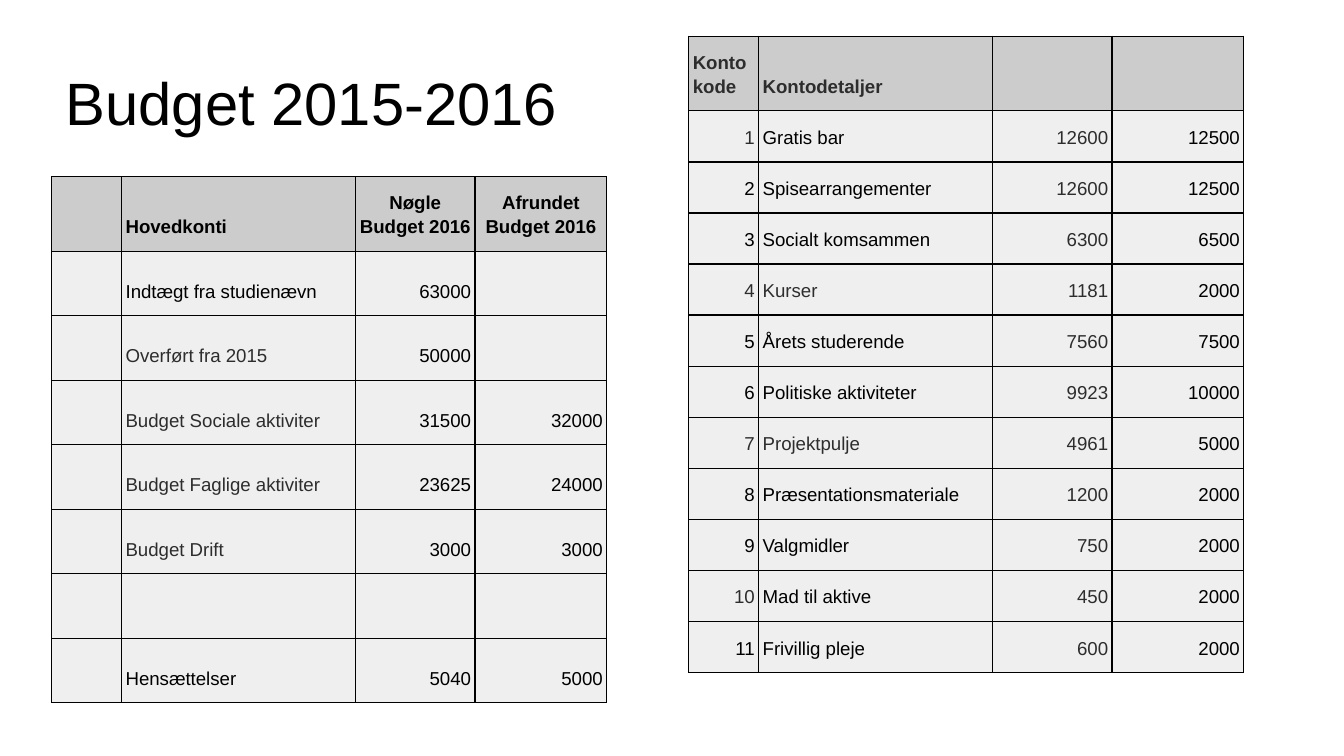
from lxml import etree
from pptx import Presentation
from pptx.dml.color import RGBColor
from pptx.enum.text import MSO_ANCHOR, PP_ALIGN
from pptx.oxml.ns import qn
from pptx.util import Inches, Pt

LEFT, MID, RIGHT = PP_ALIGN.LEFT, PP_ALIGN.CENTER, PP_ALIGN.RIGHT
TOP, BOTTOM = MSO_ANCHOR.TOP, MSO_ANCHOR.BOTTOM
INK = {"text": "000000", "soft": "2D2D2D", "head": "CCCCCC", "body": "EFEFEF"}
WIDE = Inches(10)
HIGH = WIDE * 9 // 16
UNIT = WIDE / 100
COLS = [5.2, 17.4, 8.9, 9.8]
HEAD = 5.55

main = [
    ["", "Hovedkonti", "Nøgle Budget 2016", "Afrundet Budget 2016"],
    ["", "Indtægt fra studienævn", "63000", ""],
    ["", "Overført fra 2015", "50000", ""],
    ["", "Budget Sociale aktiviter", "31500", "32000"],
    ["", "Budget Faglige aktiviter", "23625", "24000"],
    ["", "Budget Drift", "3000", "3000"],
    ["", "", "", ""],
    ["", "Hensættelser", "5040", "5000"],
]
detail = [
    ["Konto kode", "Kontodetaljer", "", ""],
    ["1", "Gratis bar", "12600", "12500"],
    ["2", "Spisearrangementer", "12600", "12500"],
    ["3", "Socialt komsammen", "6300", "6500"],
    ["4", "Kurser", "1181", "2000"],
    ["5", "Årets studerende", "7560", "7500"],
    ["6", "Politiske aktiviteter", "9923", "10000"],
    ["7", "Projektpulje", "4961", "5000"],
    ["8", "Præsentationsmateriale", "1200", "2000"],
    ["9", "Valgmidler", "750", "2000"],
    ["10", "Mad til aktive", "450", "2000"],
    ["11", "Frivillig pleje", "600", "2000"],
]
main_soft = {(row, 1) for row in range(2, 6)}
detail_soft = {(row, 2) for row in range(1, 12)} | {(row, 0) for row in (1, 4, 7, 10)}
detail_soft |= {(0, 0), (0, 1), (4, 1), (7, 1)}


def size(num):
    return round(num * UNIT)


def style(para, points, ink, bold=False):
    para.font.name = "Arial"
    para.font.size = Pt(points)
    para.font.bold = bold
    para.font.color.rgb = RGBColor.from_string(INK[ink])


deck = Presentation()
deck.slide_width, deck.slide_height = WIDE, HIGH
slide = deck.slides.add_slide(deck.slide_layouts[6])

title = slide.shapes.add_textbox(size(3.9), size(3.9), size(42.1), size(6.6))
frame = title.text_frame
frame.word_wrap = True
frame.vertical_anchor = TOP
frame.margin_left = frame.margin_right = size(1)
frame.margin_top = frame.margin_bottom = size(1)
frame.text = "Budget 2015-2016"
style(frame.paragraphs[0], 32, "text")

for data, soft, left, top, step in (
    (main, main_soft, 3.85, 13.15, 4.8),
    (detail, detail_soft, 51.25, 2.7, 3.8),
):
    rows = [HEAD] + [step] * (len(data) - 1)
    box = slide.shapes.add_table(
        len(rows), len(COLS), size(left), size(top), size(sum(COLS)), size(sum(rows))
    )
    grid = box.table
    for col, wide in zip(grid.columns, COLS):
        col.width = size(wide)
    for row, high in zip(grid.rows, rows):
        row.height = size(high)
    for y, line in enumerate(data):
        for x, text in enumerate(line):
            cell = grid.cell(y, x)
            cell.margin_left = cell.margin_right = size(0.3)
            cell.margin_top, cell.margin_bottom = size(0.7), size(1)
            cell.vertical_anchor = BOTTOM
            cell.fill.solid()
            cell.fill.fore_color.rgb = RGBColor.from_string(INK["body" if y else "head"])
            cell.text = text
            para = cell.text_frame.paragraphs[0]
            para.line_spacing = 1.15
            para.alignment = LEFT if x == 1 or (y == 0 and x == 0) else RIGHT if y else MID
            style(para, 10, "soft" if (y, x) in soft else "text", y == 0)
            props = cell._tc.get_or_add_tcPr()
            for spot, side in enumerate(("a:lnL", "a:lnR", "a:lnT", "a:lnB")):
                edge = etree.Element(qn(side), w=str(Pt(0.75)))
                paint = etree.SubElement(edge, qn("a:solidFill"))
                etree.SubElement(paint, qn("a:srgbClr"), val=INK["text"])
                props.insert(spot, edge)

deck.save("out.pptx")
